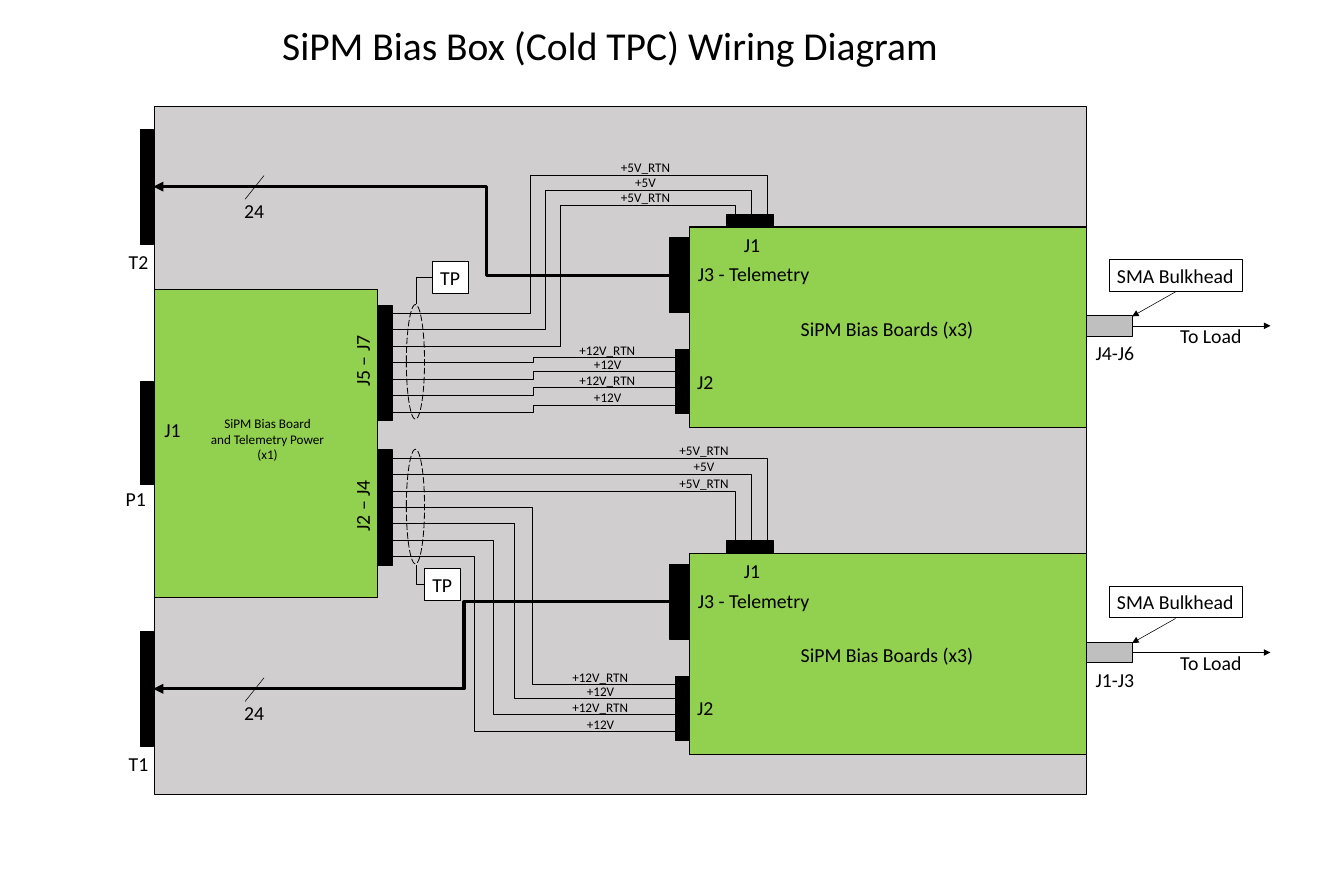
import lxml.etree
import pptx
import pptx.dml.color
import pptx.enum.dml
import pptx.enum.shapes
import pptx.enum.text
import pptx.oxml.ns
import pptx.util

Inches, Pt = pptx.util.Inches, pptx.util.Pt
SHAPE = pptx.enum.shapes.MSO_SHAPE
CONNECTOR = pptx.enum.shapes.MSO_CONNECTOR
ALIGN = pptx.enum.text.PP_ALIGN
qn = pptx.oxml.ns.qn

BLACK = pptx.dml.color.RGBColor(0x00, 0x00, 0x00)
WHITE = pptx.dml.color.RGBColor(0xFF, 0xFF, 0xFF)
PANEL_GRAY = pptx.dml.color.RGBColor(0xD0, 0xCE, 0xCE)
BULKHEAD_GRAY = pptx.dml.color.RGBColor(0xBF, 0xBF, 0xBF)
BOARD_GREEN = pptx.dml.color.RGBColor(0x92, 0xD0, 0x50)

prs = pptx.Presentation()
prs.slide_width, prs.slide_height = Inches(17), Inches(11)
s = prs.slides.add_slide(prs.slide_layouts[6])


def box(x, y, w, h, text="", size=18, align=ALIGN.LEFT, rotation=0,
        shape=SHAPE.RECTANGLE, fill=None, line=None):
    """Add an outlined shape, or a plain text box when line is None."""
    at = Inches(x), Inches(y), Inches(w), Inches(h)
    if line is None:
        sp = s.shapes.add_textbox(*at)
    else:
        sp = s.shapes.add_shape(shape, *at)
        sp.shadow.inherit = False
        sp.line.color.rgb = BLACK
        sp.line.width = Pt(line)
    if fill is None:
        sp.fill.background()
    else:
        sp.fill.solid()
        sp.fill.fore_color.rgb = fill
    sp.rotation = rotation
    if text:
        tf = sp.text_frame
        tf.word_wrap = False
        tf.text = text
        for p in tf.paragraphs:
            p.alignment = align
            p.font.name = "Calibri"
            p.font.size = Pt(size)
            p.font.color.rgb = BLACK
    return sp


def wire(*points, width=0.5, arrow=None):
    """Join points: a straight or three-part connector, else an open path."""
    pts = [(Inches(x), Inches(y)) for x, y in points]
    if len(pts) in (2, 4):
        kind = CONNECTOR.STRAIGHT if len(pts) == 2 else CONNECTOR.ELBOW
        sp = s.shapes.add_connector(kind, *pts[0], *pts[-1])
    else:
        builder = s.shapes.build_freeform(*pts[0])
        builder.add_line_segments(pts[1:], close=False)
        sp = builder.convert_to_shape()
        sp.fill.background()
    sp.line.color.rgb = BLACK
    sp.line.width = Pt(width)
    spPr = sp.element.spPr
    if len(pts) == 4:
        bend = (pts[1][0] - pts[0][0]) / (pts[-1][0] - pts[0][0])
        guides = spPr.find(qn("a:prstGeom")).get_or_add_avLst()
        lxml.etree.SubElement(guides, qn("a:gd"), name="adj1",
                              fmla=f"val {round(bend * 100000)}")
    if arrow:
        lxml.etree.SubElement(spPr.find(qn("a:ln")), qn(arrow), type="triangle")
    lxml.etree.SubElement(spPr, qn("a:effectLst"))


# Enclosure and power board
box(3.47, 0.21, 8.58, 0.71, "SiPM Bias Box (Cold TPC) Wiring Diagram", size=36)
box(1.95, 1.35, 11.79, 8.69, fill=PANEL_GRAY, line=1)
box(1.95, 3.66, 2.83, 3.89, fill=BOARD_GREEN, line=1)
box(2.56, 5.2, 1.65, 0.71, "SiPM Bias Board\nand Telemetry Power\n(x1)",
    size=12, align=ALIGN.CENTER)
box(1.78, 4.83, 0.16, 1.3, fill=BLACK, line=1)
box(1.98, 5.23, 0.41, 0.4, "J1")
box(1.49, 6.1, 0.46, 0.4, "P1")

PIN_PITCH = 0.208
LABEL_WIDTHS = {"+5V_RTN": 0.83, "+5V": 0.47, "+12V_RTN": 0.92, "+12V": 0.55}
J2_TAPS = (1.65, 1.83, 2.03, 2.25)

# Each bay: board top, first feed pin, telemetry height and bend, 12 V bends,
# 5 V and 12 V label centres, test point corner, names
bays = [
    dict(top=2.87, feed=3.96, telemetry=2.36, telemetry_bend=6.15,
         bends_12v=(6.75,) * 4, center_5v=8.17, center_12v=7.69,
         test_point=(5.47, 3.31), tap_y=3.85,
         feed_name="J5 – J7", port="T2", outputs="J4-J6"),
    dict(top=7, feed=5.79, telemetry=8.71, telemetry_bend=5.87,
         bends_12v=(6.74, 6.51, 6.24, 6), center_5v=8.91, center_12v=7.6,
         test_point=(5.37, 7.19), tap_y=7.14,
         feed_name="J2 – J4", port="T1", outputs="J1-J3"),
]

for bay in bays:
    top, feed, telemetry = bay["top"], bay["feed"], bay["telemetry"]

    # Bias board and its connectors
    box(8.72, top, 5.02, 2.54, fill=BOARD_GREEN, line=1)
    box(10.03, top + 1.08, 2.41, 0.4, "SiPM Bias Boards (x3)")
    for i in range(3):
        box(9.19 + 0.2 * i, top - 0.16, 0.2, 0.16, fill=BLACK, line=1)
    for tap in J2_TAPS:
        box(8.54, top + tap - 0.1, 0.18, 0.21, fill=BLACK, line=1)
    box(8.47, top + 0.14, 0.25, 0.94, fill=BLACK, line=1)
    box(9.31, top + 0.02, 0.41, 0.4, "J1")
    box(8.72, top + 1.75, 0.41, 0.4, "J2")
    box(8.73, top + 0.39, 1.63, 0.4, "J3 - Telemetry")

    # Feed connector on the power board
    for i in range(7):
        box(4.78, feed - 0.1 + PIN_PITCH * i, 0.18, 0.21, fill=BLACK, line=1)
    box(4.15, feed + 0.4, 0.86, 0.4, bay["feed_name"], rotation=270)

    # 5 V wires
    for i, name in enumerate(("+5V_RTN", "+5V", "+5V_RTN")):
        row, pin_x = feed + PIN_PITCH * i, 9.7 - 0.2 * i
        if bay["port"] == "T2":
            rail, bend = 2.22 + 0.19 * i, 6.71 + 0.19 * i
            wire((4.96, row), (bend, row), (bend, rail), (pin_x, rail),
                 (pin_x, top - 0.16))
        else:
            rail = row
            wire((4.96, row), (pin_x, row), (pin_x, top - 0.16))
        w = LABEL_WIDTHS[name]
        box(bay["center_5v"] - w / 2, rail - 0.25, w, 0.3, name, size=12)

    # 12 V wires
    names = ("+12V_RTN", "+12V") * 2
    for i, (name, tap, bend) in enumerate(zip(names, J2_TAPS, bay["bends_12v"])):
        row, end = feed + PIN_PITCH * (i + 3), top + tap
        wire((4.96, row), (bend, row), (bend, end), (8.54, end))
        w = LABEL_WIDTHS[name]
        box(bay["center_12v"] - w / 2, end - 0.24, w, 0.3, name, size=12)

    # Telemetry cable
    bend = bay["telemetry_bend"]
    wire((1.94, telemetry), (bend, telemetry), (bend, top + 0.61),
         (8.47, top + 0.61), width=3, arrow="a:headEnd")
    wire((3.34, telemetry - 0.14), (3.1, telemetry + 0.16))
    box(2.99, telemetry + 0.1, 0.46, 0.4, "24")
    box(1.78, telemetry - 0.72, 0.16, 1.45, fill=BLACK, line=1)
    box(1.53, telemetry + 0.75, 0.45, 0.4, bay["port"])

    # Test point
    x, y = bay["test_point"]
    bundle = box(5.14, feed - 0.11, 0.23, 1.45, shape=SHAPE.OVAL, line=0.75)
    bundle.line.dash_style = pptx.enum.dml.MSO_LINE.LONG_DASH
    wire((x, y + 0.2), (5.26, y + 0.2), (5.26, bay["tap_y"]))
    box(x, y, 0.45, 0.4, "TP", fill=WHITE, line=0.75)

    # Output bulkhead
    box(13.74, top + 1.12, 0.59, 0.26, fill=BULKHEAD_GRAY, line=1)
    box(14.03, top + 0.41, 1.69, 0.4, "SMA Bulkhead", line=0.75)
    wire((14.87, top + 0.82), (14.32, top + 1.13), arrow="a:tailEnd")
    wire((14.32, top + 1.25), (16.07, top + 1.25), arrow="a:tailEnd")
    box(14.83, top + 1.18, 0.99, 0.4, "To Load")
    box(13.76, top + 1.39, 0.7, 0.4, bay["outputs"])

prs.save("out.pptx")
